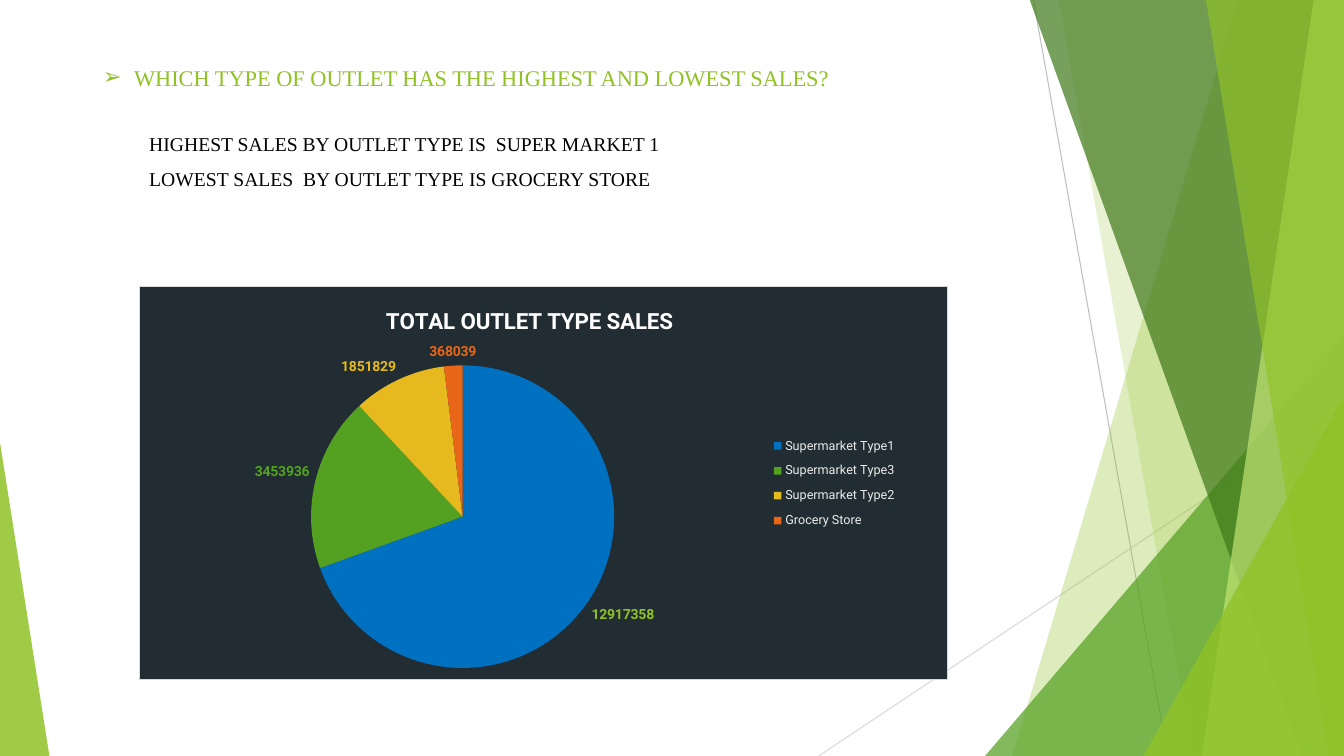
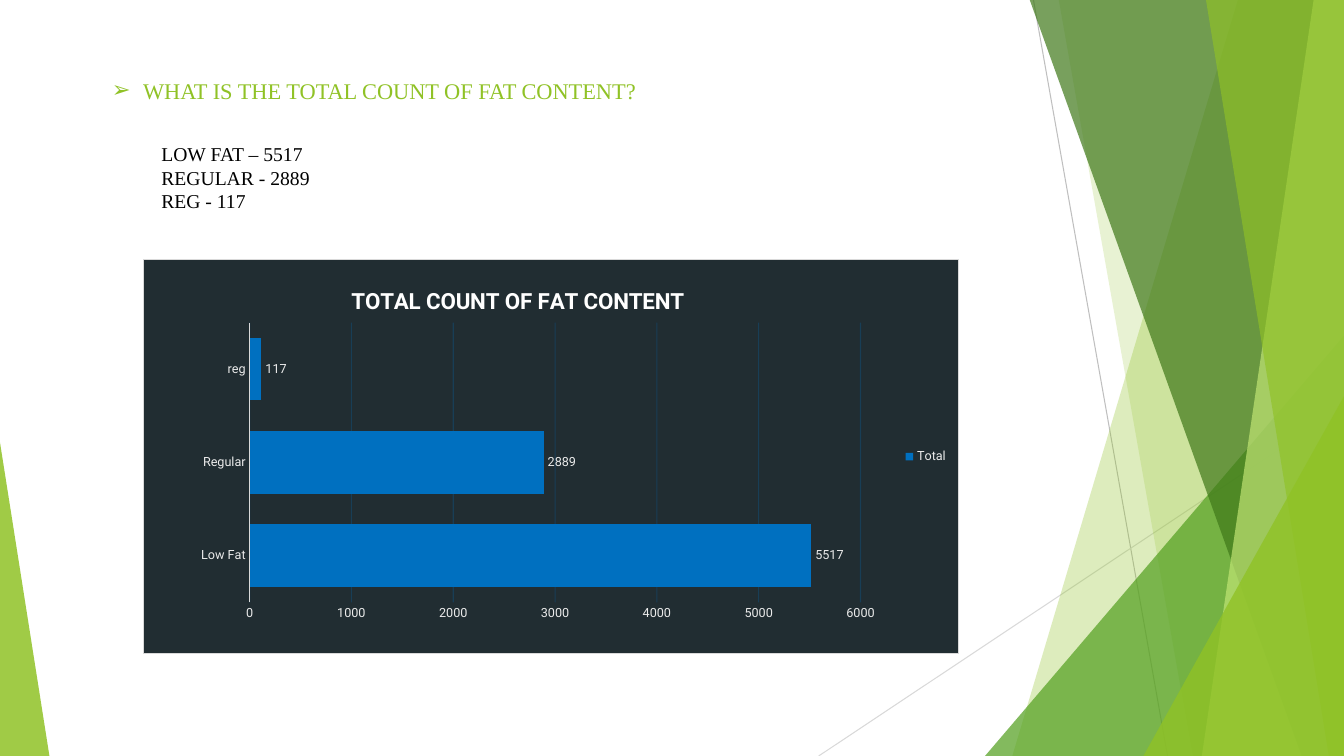
import lxml.etree
import pptx
import pptx.chart.data
import pptx.dml.color
import pptx.enum.chart
import pptx.enum.shapes
import pptx.enum.text
import pptx.oxml
import pptx.oxml.ns
import pptx.util

Inches = pptx.util.Inches
Pt = pptx.util.Pt
RGBColor = pptx.dml.color.RGBColor
qn = pptx.oxml.ns.qn

LIME = RGBColor(0x90, 0xC2, 0x26)
PALE_LIME = RGBColor(0xC0, 0xE4, 0x74)
GREEN = RGBColor(0x54, 0xA0, 0x21)
FOREST = RGBColor(0x3F, 0x78, 0x19)
BLUE = RGBColor(0x00, 0x70, 0xC0)
YELLOW = RGBColor(0xE6, 0xB9, 0x1E)
ORANGE = RGBColor(0xE7, 0x66, 0x18)
SLATE = RGBColor(0x21, 0x2D, 0x32)
SILVER = RGBColor(0xBF, 0xBF, 0xBF)
LIGHT_GREY = RGBColor(0xD9, 0xD9, 0xD9)
OFF_WHITE = RGBColor(0xEB, 0xEB, 0xEB)
WHITE = RGBColor(0xFF, 0xFF, 0xFF)
BLACK = RGBColor(0x00, 0x00, 0x00)

TEXT_FONT = "Times New Roman"
CHART_FONT = "Roboto"
WIDTH, HEIGHT = 13.33, 7.5


def style_font(font, name, size, color, bold=False):
    font.name = name
    font.size = Pt(size)
    font.bold = bold
    font.color.rgb = color


def place_in_chart(element, index, inner=False, **fractions):
    layout = element.find(qn("c:layout"))
    if layout is None:
        layout = lxml.etree.Element(qn("c:layout"))
        element.insert(index, layout)
    manual = lxml.etree.SubElement(layout, qn("c:manualLayout"))
    settings = {"layoutTarget": "inner"} if inner else {}
    settings.update(xMode="edge", yMode="edge", **fractions)
    for tag, value in settings.items():
        lxml.etree.SubElement(manual, qn("c:" + tag)).set("val", str(value))


presentation = pptx.Presentation()
presentation.slide_width = Inches(WIDTH)
presentation.slide_height = Inches(HEIGHT)
theme_layout = presentation.slide_layouts[1]
for footer in list(theme_layout.placeholders):
    if footer.placeholder_format.idx >= 10:
        footer.element.getparent().remove(footer.element)

outlet_slide = presentation.slides.add_slide(theme_layout)
fat_slide = presentation.slides.add_slide(theme_layout)

decoration = []
for x1, y1, x2, y2, color in (
    (10.25, 0, 11.58, HEIGHT, SILVER),
    (WIDTH, 4.03, 8.12, HEIGHT, LIGHT_GREY),
):
    ray = outlet_slide.shapes.add_connector(
        pptx.enum.shapes.MSO_CONNECTOR.STRAIGHT,
        Inches(x1), Inches(y1), Inches(x2), Inches(y2))
    ray.line.color.rgb = color
    ray.line.width = Pt(0.75)
    lxml.etree.SubElement(ray.element.spPr, qn("a:effectLst"))
    decoration.append(ray)

for kind, geometry, color, opacity in (
    ("band", (12.28, 10.04), LIME, 30),
    ("band", (10.5, 11.83), LIME, 20),
    ("wedge", (9.77, 3.33, 3.56, 1), GREEN, 72),
    ("band", (10.21, 12.91), FOREST, 70),
    ("band", (13.03, 11.92), PALE_LIME, 70),
    ("band", (11.96, 13.18), LIME, 65),
    ("wedge", (11.34, 3.93, 1.99, 1), LIME, 80),
    ("wedge", (0, 4.39, 0.49, 0), LIME, 85),
):
    if kind == "band":
        top_x, bottom_x = geometry
        outline = outlet_slide.shapes.build_freeform(Inches(top_x), Inches(-0.01))
        outline.add_line_segments([
            (Inches(WIDTH), Inches(-0.01)),
            (Inches(WIDTH), Inches(HEIGHT)),
            (Inches(bottom_x), Inches(HEIGHT)),
        ], close=True)
        facet = outline.convert_to_shape()
    else:
        left, top, width, apex = geometry
        facet = outlet_slide.shapes.add_shape(
            pptx.enum.shapes.MSO_SHAPE.ISOSCELES_TRIANGLE,
            Inches(left), Inches(top), Inches(width), Inches(HEIGHT - top))
        facet.adjustments[0] = apex
    facet.shadow.inherit = False
    facet.fill.solid()
    facet.fill.fore_color.rgb = color
    facet.line.fill.background()
    tint = facet.element.spPr.find(qn("a:solidFill"))[0]
    lxml.etree.SubElement(tint, qn("a:alpha")).set("val", str(opacity * 1000))
    decoration.append(facet)

for part in decoration:
    theme_layout.shapes._spTree.append(part.element)

outlet_data = pptx.chart.data.CategoryChartData()
outlet_data.categories = [
    "Supermarket Type1", "Supermarket Type3", "Supermarket Type2", "Grocery Store"]
outlet_data.add_series("Series 1", (12917358, 3453936, 1851829, 368039))

fat_data = pptx.chart.data.CategoryChartData()
fat_data.categories = ["Low Fat", "Regular", "reg"]
fat_data.add_series("Total", (5517, 2889, 117))

PIE = pptx.enum.chart.XL_CHART_TYPE.PIE
BAR = pptx.enum.chart.XL_CHART_TYPE.BAR_CLUSTERED
JUSTIFY = pptx.enum.text.PP_ALIGN.JUSTIFY
LEFT = pptx.enum.text.PP_ALIGN.LEFT

charts = []
for (slide, question, question_box, answers, answer_box, alignment, spacing,
     chart_type, data, chart_box, heading, heading_spot, plot_spot) in (
    (outlet_slide, "WHICH TYPE OF OUTLET HAS THE HIGHEST AND LOWEST SALES?",
     (0.92, 0.45, 8.3, 0.46),
     ("HIGHEST SALES BY OUTLET TYPE IS  SUPER MARKET 1",
      "LOWEST SALES  BY OUTLET TYPE IS GROCERY STORE"),
     (1.38, 1.14, 6.19, 0.77), JUSTIFY, 1.5,
     PIE, outlet_data, (1.38, 2.84, 8.02, 3.91), "TOTAL OUTLET TYPE SALES",
     dict(x=0.3, y=0.04), dict(x=0.16, y=0.2, w=0.48, h=0.77)),
    (fat_slide, "WHAT IS THE TOTAL COUNT OF FAT CONTENT?",
     (1.01, 0.58, 8.09, 0.46),
     ("LOW FAT – 5517", "REGULAR - 2889", "REG - 117"),
     (1.5, 1.36, 3.55, 0.81), LEFT, 1.0,
     BAR, fat_data, (1.42, 2.57, 8.09, 3.92), "TOTAL COUNT OF FAT CONTENT",
     dict(x=0.25, y=0.06), dict(x=0.13, y=0.16, w=0.75, h=0.71)),
):
    for holder, box, lines, size, color, align, leading, bullet in (
        (slide.shapes.title, question_box, (question,), 16, LIME, LEFT, 1.5, "➢"),
        (slide.placeholders[1], answer_box, answers, 14, BLACK, alignment, spacing, None),
    ):
        holder.left, holder.top, holder.width, holder.height = map(Inches, box)
        frame = holder.text_frame
        frame.word_wrap = True
        frame.auto_size = pptx.enum.text.MSO_AUTO_SIZE.NONE
        frame.vertical_anchor = pptx.enum.text.MSO_ANCHOR.TOP
        for number, line in enumerate(lines):
            paragraph = frame.add_paragraph() if number else frame.paragraphs[0]
            paragraph.alignment = align
            paragraph.line_spacing = leading
            paragraph.space_before = Pt(0)
            run = paragraph.add_run()
            run.text = line
            style_font(run.font, TEXT_FONT, size, color)
            properties = paragraph._p.get_or_add_pPr()
            indent = Inches(0.31) if bullet else 0
            properties.set("marL", str(indent))
            properties.set("indent", str(-indent))
            if bullet:
                lxml.etree.SubElement(properties, qn("a:buFont")).set("typeface", "Arial")
                lxml.etree.SubElement(properties, qn("a:buChar")).set("char", bullet)
            else:
                lxml.etree.SubElement(properties, qn("a:buNone"))

    chart = slide.shapes.add_chart(chart_type, *map(Inches, chart_box), data).chart
    style_font(chart.font, CHART_FONT, 10, BLACK)
    chart.has_title = True
    heading_run = chart.chart_title.text_frame.paragraphs[0].add_run()
    heading_run.text = heading
    style_font(heading_run.font, CHART_FONT, 16, WHITE, True)
    chart.has_legend = True
    chart.legend.position = pptx.enum.chart.XL_LEGEND_POSITION.RIGHT
    chart.legend.include_in_layout = False
    style_font(chart.legend.font, CHART_FONT, 9, OFF_WHITE)
    chart_root = chart._chartSpace
    place_in_chart(chart.chart_title._element, 1, **heading_spot)
    place_in_chart(chart_root.chart.plotArea, 0, inner=True, **plot_spot)
    chart_root.chart.addnext(pptx.oxml.parse_xml(
        f'<c:spPr {pptx.oxml.ns.nsdecls("c", "a")}>'
        f'<a:solidFill><a:srgbClr val="{SLATE}"/></a:solidFill>'
        f'<a:ln w="9525"><a:solidFill><a:srgbClr val="{LIGHT_GREY}"/></a:solidFill></a:ln>'
        '</c:spPr>'))
    charts.append(chart)

outlet_chart, fat_chart = charts

place_in_chart(outlet_chart.legend._element, 1, x=0.76, y=0.36, w=0.2, h=0.28)
outlet_plot = outlet_chart.plots[0]
outlet_plot.vary_by_categories = True
for index, (slice_color, label_color) in enumerate((
    (BLUE, LIME), (GREEN, GREEN), (YELLOW, YELLOW), (ORANGE, ORANGE),
)):
    outlet = outlet_plot.series[0].points[index]
    outlet.format.fill.solid()
    outlet.format.fill.fore_color.rgb = slice_color
    outlet.format.line.fill.background()
    style_font(outlet.data_label.font, CHART_FONT, 10, label_color, True)
    outlet.data_label.position = pptx.enum.chart.XL_LABEL_POSITION.OUTSIDE_END

fat_plot = fat_chart.plots[0]
fat_plot.vary_by_categories = False
fat_plot.gap_width = 49
totals = fat_plot.series[0]
totals.invert_if_negative = False
totals.format.fill.solid()
totals.format.fill.fore_color.rgb = BLUE
totals.data_labels.show_value = True
totals.data_labels.position = pptx.enum.chart.XL_LABEL_POSITION.OUTSIDE_END
style_font(totals.data_labels.font, CHART_FONT, 9, OFF_WHITE)

for axis in (fat_chart.category_axis, fat_chart.value_axis):
    axis.major_tick_mark = pptx.enum.chart.XL_TICK_MARK.NONE
    axis.minor_tick_mark = pptx.enum.chart.XL_TICK_MARK.NONE
    style_font(axis.tick_labels.font, CHART_FONT, 9, OFF_WHITE)
fat_chart.category_axis.format.line.color.rgb = LIGHT_GREY
fat_chart.category_axis.format.line.width = Pt(0.75)
count_axis = fat_chart.value_axis
count_axis.minimum_scale = 0
count_axis.maximum_scale = 6000
count_axis.major_unit = 1000
count_axis.format.line.fill.background()
count_axis.has_major_gridlines = True
grid = count_axis.major_gridlines
grid.format.line.color.rgb = BLUE
grid.format.line.width = Pt(0.75)
grid_tint = next(count_axis._element.find(qn("c:majorGridlines")).iter(qn("a:srgbClr")))
lxml.etree.SubElement(grid_tint, qn("a:alpha")).set("val", "25000")

presentation.save("out.pptx")
